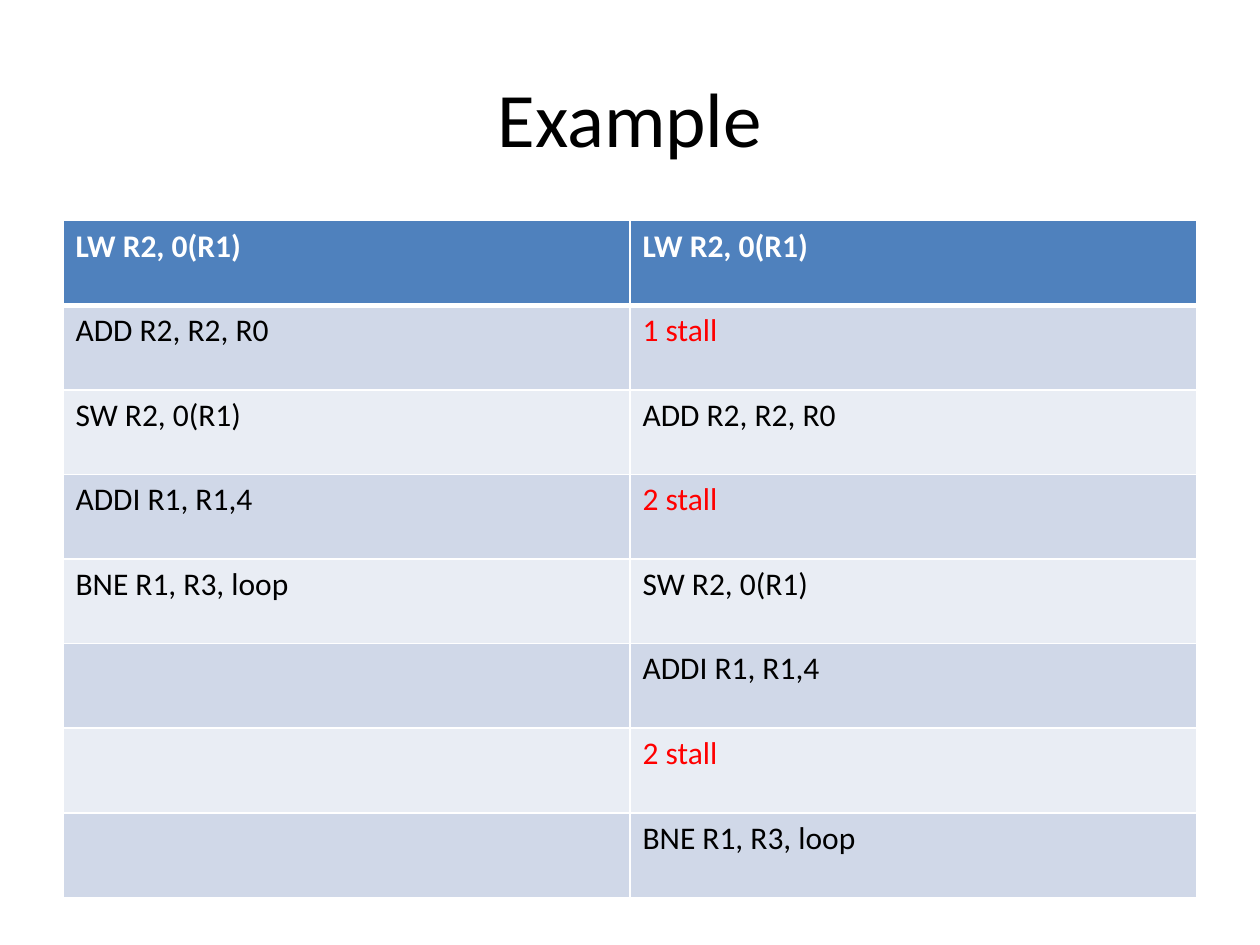
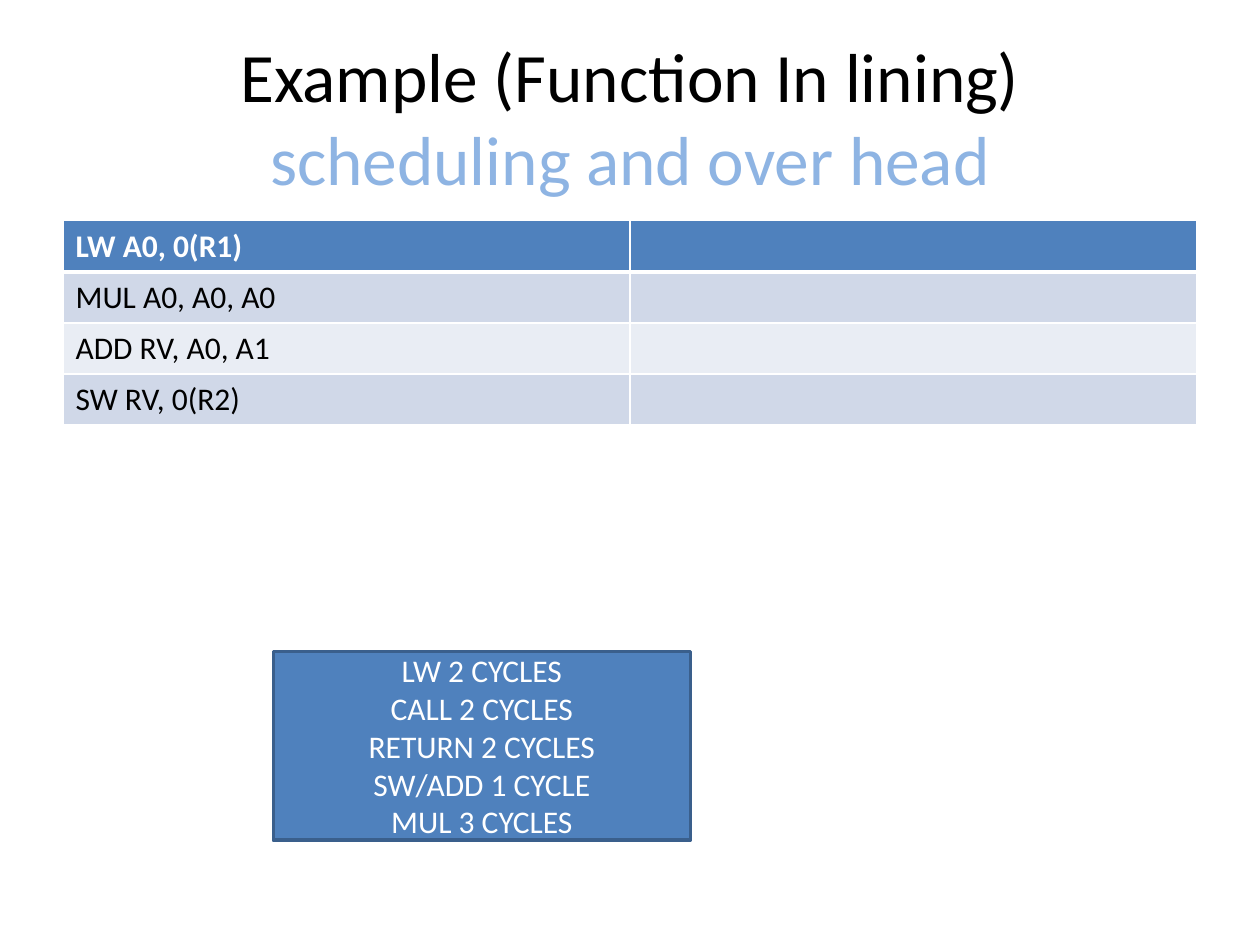
"""Build two slides of pipeline stall and function inlining examples."""
from dataclasses import dataclass

from lxml.etree import SubElement
from pptx import Presentation
from pptx.dml.color import RGBColor
from pptx.enum.shapes import MSO_SHAPE
from pptx.enum.text import MSO_ANCHOR, MSO_AUTO_SIZE, PP_ALIGN
from pptx.oxml.ns import qn
from pptx.presentation import Presentation as Deck
from pptx.slide import Slide
from pptx.table import _Cell as Cell
from pptx.text.text import Font
from pptx.util import Cm, Pt

COLOURS = {
    "text": "000000",
    "white": "FFFFFF",
    "accent": "4F81BD",
    "outline": "3A5F8C",
    "subtitle": "8EB4E3",
    "stall": "FF0000",
    "band_dark": "D0D8E8",
    "band_light": "E9EDF4",
}
FONT_NAME = "Calibri"
TITLE_ONLY = 5
LEFT, CONTENT_WIDTH = Cm(1.27), Cm(22.86)
TITLE_TOP, TITLE_HEIGHT = Cm(0.76), Cm(3.18)
TABLE_TOP = Cm(4.45)
THIN, THICK = Pt(1), Pt(3)


@dataclass(frozen=True)
class CodeTable:
    rows: list[tuple[str, str]]
    height: Cm


@dataclass(frozen=True)
class ExampleSlide:
    title_lines: list[str]
    title_size: float
    table: CodeTable
    cycle_costs: tuple[str, ...] = ()


EXAMPLES = [
    ExampleSlide(
        ["Example"],
        44,
        CodeTable(
            [
                ("LW R2, 0(R1)", "LW R2, 0(R1)"),
                ("ADD R2, R2, R0", "1 stall"),
                ("SW R2, 0(R1)", "ADD R2, R2, R0"),
                ("ADDI R1, R1,4", "2 stall"),
                ("BNE R1, R3, loop", "SW R2, 0(R1)"),
                ("", "ADDI R1, R1,4"),
                ("", "2 stall"),
                ("", "BNE R1, R3, loop"),
            ],
            Cm(13.64),
        ),
    ),
    ExampleSlide(
        ["Example (Function In lining)", "scheduling and over head"],
        39.6,
        CodeTable(
            [
                ("LW A0, 0(R1)", ""),
                ("MUL A0, A0, A0", ""),
                ("ADD RV, A0, A1", ""),
                ("SW RV, 0(R2)", ""),
            ],
            Cm(4.12),
        ),
        (
            "LW 2 CYCLES",
            "CALL 2 CYCLES",
            "RETURN 2 CYCLES",
            "SW/ADD 1 CYCLE",
            "MUL 3 CYCLES",
        ),
    ),
]


def colour(name: str) -> RGBColor:
    return RGBColor.from_string(COLOURS[name])


def style_font(font: Font, size: float, colour_name: str, bold: bool = False) -> None:
    font.name = FONT_NAME
    font.size = Pt(size)
    font.bold = bold
    font.color.rgb = colour(colour_name)


def add_title(slide: Slide, lines: list[str], size: float) -> None:
    title = slide.shapes.title
    title.left, title.top = LEFT, TITLE_TOP
    title.width, title.height = CONTENT_WIDTH, TITLE_HEIGHT
    frame = title.text_frame
    frame.auto_size = MSO_AUTO_SIZE.NONE
    frame.vertical_anchor = MSO_ANCHOR.MIDDLE
    paragraph = frame.paragraphs[0]
    paragraph.alignment = PP_ALIGN.CENTER
    style_font(paragraph.font, size, "text")
    for index, line in enumerate(lines):
        if index:
            paragraph.add_line_break()
        run = paragraph.add_run()
        run.text = line
        style_font(run.font, size, "subtitle" if index else "text")


def set_borders(cell: Cell, top: int, bottom: int) -> None:
    properties = cell._tc.get_or_add_tcPr()
    widths = {"a:lnL": THIN, "a:lnR": THIN, "a:lnT": top, "a:lnB": bottom}
    for tag, width in widths.items():
        line = SubElement(properties, qn(tag), w=str(width))
        fill = SubElement(line, qn("a:solidFill"))
        SubElement(fill, qn("a:srgbClr"), val=COLOURS["white"])


def fill_cell(cell: Cell, text: str, row_index: int) -> None:
    is_header = row_index == 0
    set_borders(
        cell,
        top=THICK if row_index == 1 else THIN,
        bottom=THICK if is_header else THIN,
    )
    band = "band_dark" if row_index % 2 else "band_light"
    cell.fill.solid()
    cell.fill.fore_color.rgb = colour("accent" if is_header else band)
    cell.text = text
    body_colour = "stall" if text.endswith("stall") else "text"
    font = cell.text_frame.paragraphs[0].font
    style_font(font, 18, "white" if is_header else body_colour, is_header)


def add_code_table(slide: Slide, code: CodeTable) -> None:
    row_count, column_count = len(code.rows), len(code.rows[0])
    table = slide.shapes.add_table(
        row_count, column_count, LEFT, TABLE_TOP, CONTENT_WIDTH, code.height
    ).table
    for row_index, texts in enumerate(code.rows):
        for column_index, text in enumerate(texts):
            fill_cell(table.cell(row_index, column_index), text, row_index)


def add_cycle_box(slide: Slide, costs: tuple[str, ...]) -> None:
    shape = slide.shapes.add_shape(
        MSO_SHAPE.RECTANGLE, Cm(5.51), Cm(13.13), Cm(8.41), Cm(3.81)
    )
    shape.shadow.inherit = False
    shape.fill.solid()
    shape.fill.fore_color.rgb = colour("accent")
    shape.line.color.rgb = colour("outline")
    shape.line.width = Pt(2)
    frame = shape.text_frame
    frame.word_wrap = True
    frame.vertical_anchor = MSO_ANCHOR.MIDDLE
    frame.text = "\n".join(costs)
    for paragraph in frame.paragraphs:
        paragraph.alignment = PP_ALIGN.CENTER
        style_font(paragraph.font, 18, "white")


def add_example(presentation: Deck, example: ExampleSlide) -> None:
    slide = presentation.slides.add_slide(presentation.slide_layouts[TITLE_ONLY])
    add_title(slide, example.title_lines, example.title_size)
    add_code_table(slide, example.table)
    if example.cycle_costs:
        add_cycle_box(slide, example.cycle_costs)


def main() -> None:
    presentation = Presentation()
    presentation.slide_width, presentation.slide_height = Cm(25.4), Cm(19.05)
    for example in EXAMPLES:
        add_example(presentation, example)
    presentation.save("out.pptx")


if __name__ == "__main__":
    main()
